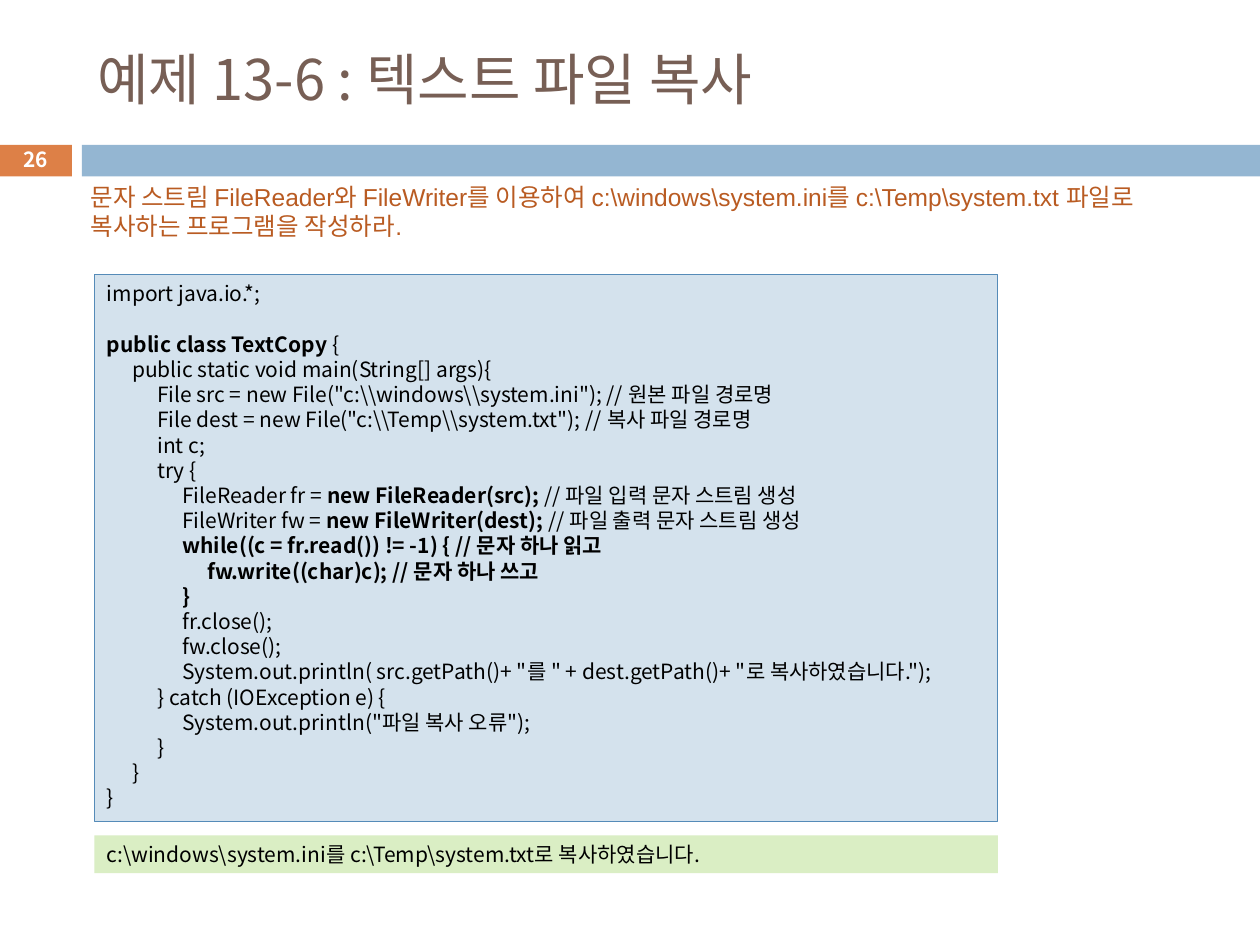
"""Build the text file copy example slide."""
from pptx import Presentation
from pptx import util as u
from pptx.dml.color import RGBColor
from pptx.enum import shapes, text

BROWN = RGBColor(0x77, 0x5F, 0x55)
ORANGE = RGBColor(0xDD, 0x80, 0x47)
BLUE = RGBColor(0x94, 0xB6, 0xD2)
RUST = RGBColor(0xB9, 0x5B, 0x22)
PALE_BLUE = RGBColor(0xD4, 0xE2, 0xED)
EDGE_BLUE = RGBColor(0x55, 0x8B, 0xB8)
PALE_GREEN = RGBColor(0xDA, 0xEE, 0xC4)
BLACK = RGBColor(0, 0, 0)
WHITE = RGBColor(0xFF, 0xFF, 0xFF)
KOREAN = "Noto Sans CJK KR"
INDENT = u.Inches(0.2)

TITLE = "예제 13-6 : 텍스트 파일 복사"
PAGE = "**26**"
TASK = (r"문자 스트림 FileReader와 FileWriter를 이용하여 c:\windows\system.ini를 "
        r"c:\Temp\system.txt 파일로 복사하는 프로그램을 작성하라.")
CODE = [
    (0, "import java.io.*;"),
    (0, ""),
    (0, "**public class TextCopy **{"),
    (1, "public static void main(String[] args){"),
    (2, r'File src = new File("c:\\windows\\system.ini"); // 원본 파일 경로명'),
    (2, r'File dest = new File("c:\\Temp\\system.txt"); // 복사 파일 경로명'),
    (2, "int c;"),
    (2, "try {"),
    (3, "FileReader fr = **new FileReader(src); **// 파일 입력 문자 스트림 생성"),
    (3, "FileWriter fw = **new FileWriter(dest); **// 파일 출력 문자 스트림 생성"),
    (3, "**while((c = fr.read()) != -1) { // 문자 하나 읽고**"),
    (4, "**fw.write((char)c); // 문자 하나 쓰고**"),
    (3, "**}**"),
    (3, "fr.close();"),
    (3, "fw.close();"),
    (3, 'System.out.println( src.getPath()+ "를 " + dest.getPath()+ "로 복사하였습니다.");'),
    (2, "} catch (IOException e) {"),
    (3, 'System.out.println("파일 복사 오류");'),
    (2, "}"),
    (1, "}"),
    (0, "}"),
]
RESULT = r"c:\windows\system.ini를 c:\Temp\system.txt로 복사하였습니다."


def write(shape, lines, size, color, font=KOREAN, pitch=None,
          align=text.PP_ALIGN.LEFT, anchor=text.MSO_ANCHOR.TOP):
    """Fill a shape with (depth, text) lines; ** switches bold on and off."""
    frame = shape.text_frame
    frame.word_wrap = True
    frame.auto_size = text.MSO_AUTO_SIZE.NONE
    frame.vertical_anchor = anchor
    for number, (depth, line) in enumerate(lines):
        paragraph = frame.add_paragraph() if number else frame.paragraphs[0]
        paragraph.alignment = align
        paragraph.font.size = u.Pt(size)
        if pitch:
            paragraph.line_spacing = u.Pt(pitch)
        if depth:
            properties = paragraph._p.get_or_add_pPr()
            properties.set("marL", str(depth * INDENT))
            properties.set("indent", "0")
        for position, piece in enumerate(line.split("**")):
            if not piece:
                continue
            run = paragraph.add_run()
            run.text = piece
            run.font.name = font
            run.font.size = u.Pt(size)
            run.font.bold = position % 2 == 1
            run.font.color.rgb = color
            latin = run.font._element.find("{*}latin")
            east_asian = latin.makeelement(latin.tag.replace("latin", "ea"), {"typeface": KOREAN})
            latin.addnext(east_asian)


def add_panel(slide, box, fill, edge=None):
    """Add a flat rectangle."""
    panel = slide.shapes.add_shape(shapes.MSO_SHAPE.RECTANGLE, *map(u.Inches, box))
    panel.shadow.inherit = False
    panel.fill.solid()
    panel.fill.fore_color.rgb = fill
    if edge:
        panel.line.color.rgb = edge
        panel.line.width = u.Pt(0.75)
    else:
        panel.line.fill.background()
    return panel


def main():
    """Compose and save the slide."""
    deck = Presentation()
    deck.slide_width, deck.slide_height = u.Inches(10), u.Inches(7.5)
    slide = deck.slides.add_slide(deck.slide_layouts[5])
    middle = text.MSO_ANCHOR.MIDDLE

    title = slide.shapes.title
    title.left, title.top, title.width, title.height = map(u.Inches, (0.67, 0.25, 8.92, 0.74))
    write(title, [(0, TITLE)], 32, BROWN, anchor=middle)

    add_panel(slide, (-0.01, 1.15, 0.58, 0.25), ORANGE)
    add_panel(slide, (0.65, 1.15, 9.35, 0.25), BLUE)
    page = slide.shapes.add_textbox(*map(u.Inches, (-0.01, 1.13, 0.58, 0.27)))
    write(page, [(0, PAGE)], 11.9, WHITE, align=text.PP_ALIGN.CENTER, anchor=middle)

    task = slide.shapes.add_textbox(*map(u.Inches, (0.62, 1.39, 8.96, 0.57)))
    write(task, [(0, TASK)], 14, RUST, font="Arial", pitch=17)

    code = add_panel(slide, (0.75, 2.18, 7.17, 4.34), PALE_BLUE, EDGE_BLUE)
    write(code, CODE, 12, BLACK, pitch=14.4)
    result = add_panel(slide, (0.75, 6.63, 7.17, 0.3), PALE_GREEN)
    write(result, [(0, RESULT)], 12, BLACK, pitch=14.4)

    deck.save("out.pptx")


if __name__ == "__main__":
    main()
